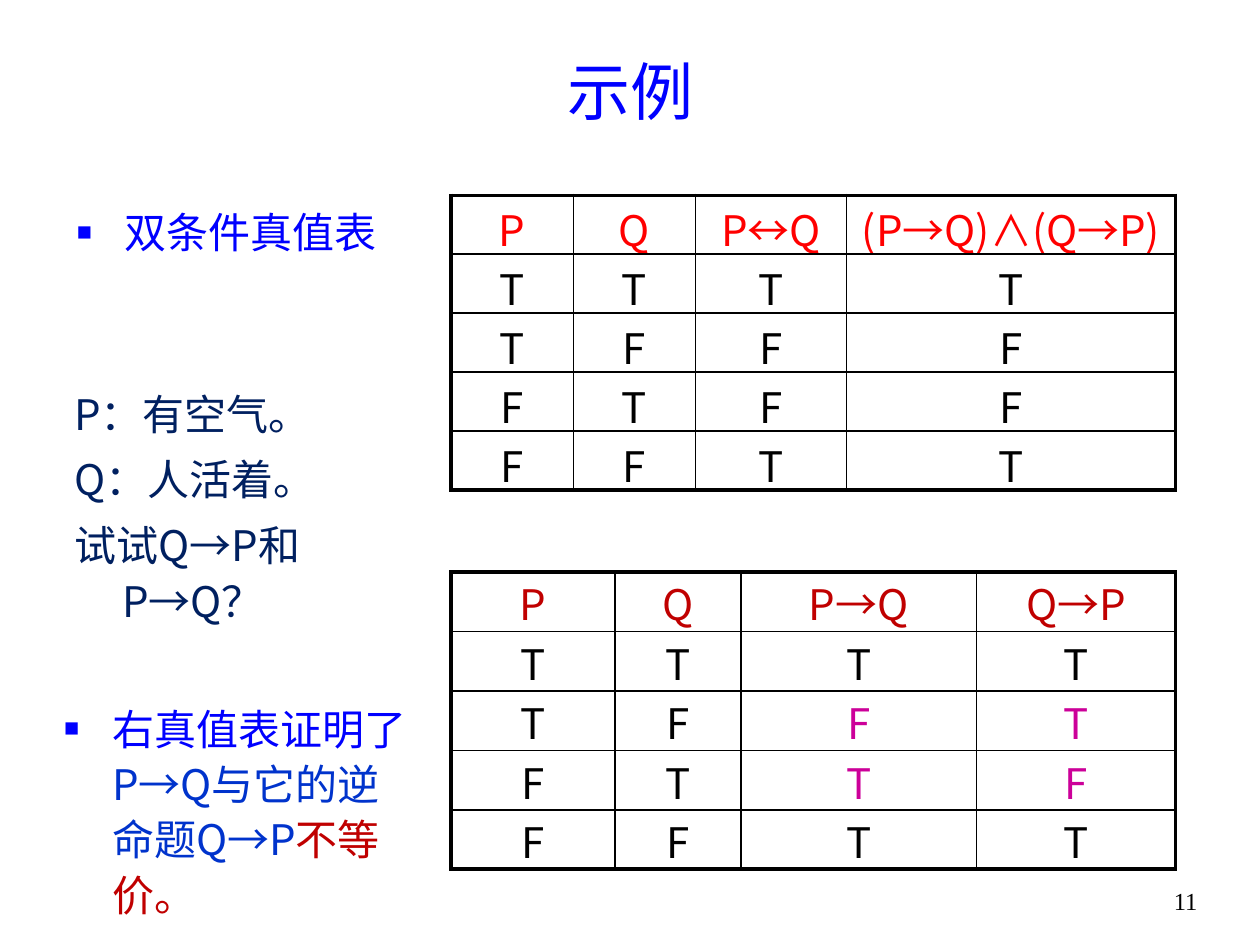
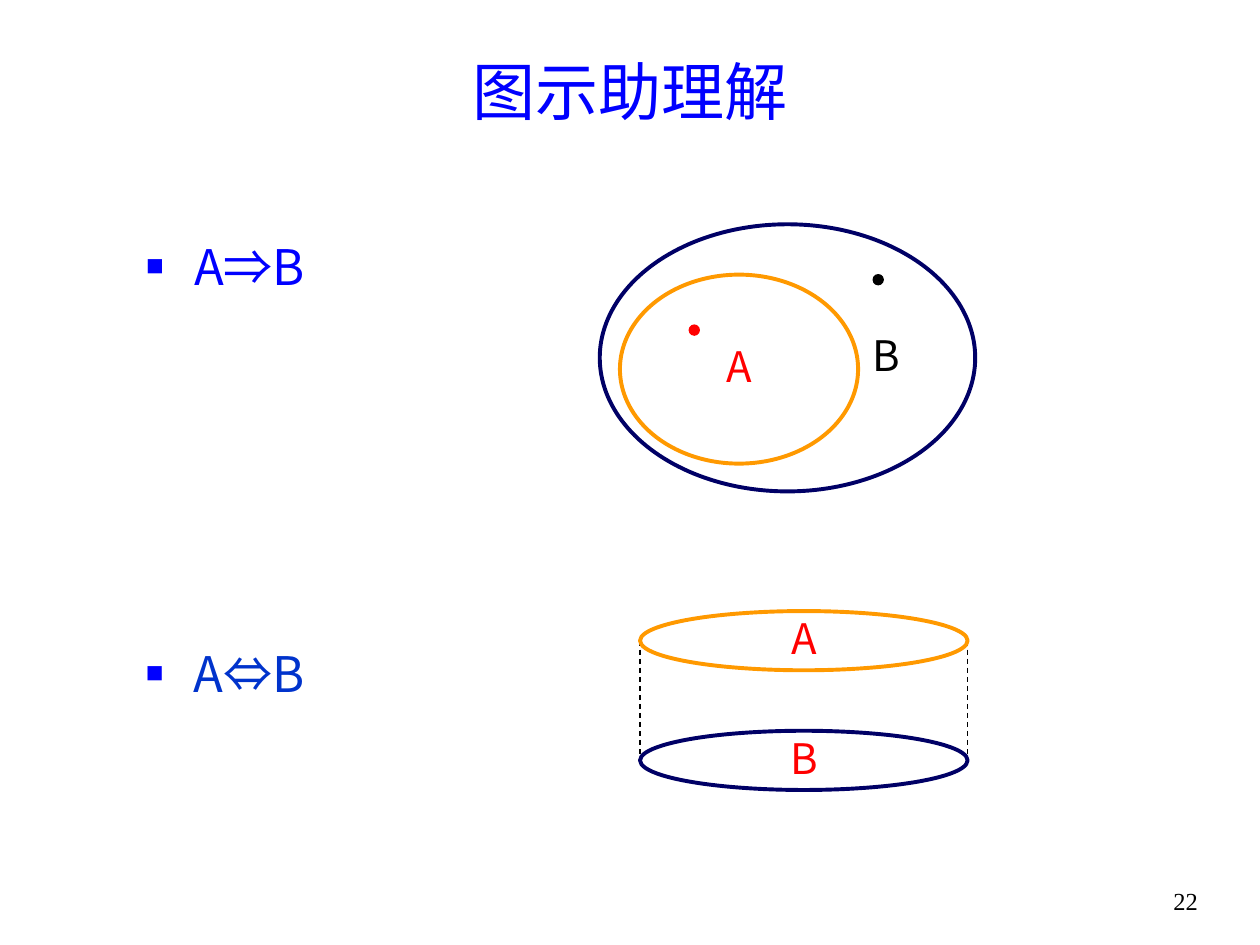
import dataclasses
import pptx
import pptx.util
import pptx.dml.color
import pptx.enum.dml
import pptx.enum.shapes
import pptx.enum.text
import pptx.oxml.ns
import lxml.etree

Inches = pptx.util.Inches
Pt = pptx.util.Pt
ALIGN = pptx.enum.text.PP_ALIGN
ANCHOR = pptx.enum.text.MSO_ANCHOR
qn = pptx.oxml.ns.qn


@dataclasses.dataclass(frozen=True)
class Theme:
    font: str = "Noto Sans CJK SC"
    serif: str = "Times New Roman"
    blue: str = "0000FF"
    royal: str = "0033CC"
    ink: str = "002060"
    navy: str = "000066"
    orange: str = "FF9900"
    red: str = "FF0000"
    brick: str = "C00000"
    pink: str = "CC0099"
    black: str = "000000"
    title: int = 36
    large: int = 28
    text: int = 24
    number: int = 14
    thin: float = 1
    thick: float = 2.25
    dash: float = 0.75
    indent: float = 0.38


THEME = Theme()


def color(code):
    return pptx.dml.color.RGBColor.from_string(code)


def child(parent, tag, **attrs):
    return lxml.etree.SubElement(parent, qn(tag), attrs)


def style(run, size, code, font=THEME.font):
    run.font.size = Pt(size)
    run.font.name = font
    run.font.color.rgb = color(code)
    for tag in ("a:ea", "a:sym"):
        child(run.font._element, tag, typeface=font)


def write(frame, text, size, code, align=ALIGN.CENTER, font=THEME.font):
    frame.text = text
    frame.paragraphs[0].alignment = align
    style(frame.paragraphs[0].runs[0], size, code, font)


def inset(frame, left, top, right=None):
    frame.margin_left = Inches(left)
    frame.margin_right = Inches(left if right is None else right)
    frame.margin_top = frame.margin_bottom = Inches(top)


def place(shape, box):
    shape.left, shape.top, shape.width, shape.height = map(Inches, box)


def hang(para, before):
    para.line_spacing = 1.1
    para.space_before = Pt(before)
    para.space_after = Pt(6)
    props = para._p.get_or_add_pPr()
    props.set("marL", str(Inches(THEME.indent)))
    props.set("indent", str(-Inches(THEME.indent)))
    return props


def bullet(frame, parts, size):
    frame.word_wrap = True
    frame.auto_size = pptx.enum.text.MSO_AUTO_SIZE.NONE
    para = frame.paragraphs[0]
    for text, code in parts:
        run = para.add_run()
        run.text = text
        style(run, size, code)
    props = hang(para, size * 0.2)
    child(child(props, "a:buClr"), "a:srgbClr", val=THEME.blue)
    child(props, "a:buSzPct", val="60000")
    child(props, "a:buFont", typeface=THEME.serif)
    child(props, "a:buChar", char="■")


def add_text(slide, box):
    frame = slide.shapes.add_textbox(*map(Inches, box)).text_frame
    frame.word_wrap = True
    return frame


def start(deck, title, number, box, parts, size):
    slide = deck.slides.add_slide(deck.slide_layouts[1])
    head, body = slide.placeholders
    place(head, (0.75, 0.36, 8.5, 0.71))
    head.text_frame.vertical_anchor = ANCHOR.MIDDLE
    write(head.text_frame, title, THEME.title, THEME.blue)
    place(body, box)
    bullet(body.text_frame, parts, size)
    frame = add_text(slide, (8.94, 6.98, 0.94, 0.35))
    write(frame, number, THEME.number, THEME.black, font=THEME.serif)
    return slide


def border(cell, edges):
    props = cell._tc.get_or_add_tcPr()
    for side, outer in edges:
        width = THEME.thick if outer else THEME.thin
        line = child(props, "a:ln" + side, w=str(Pt(width)))
        child(child(line, "a:solidFill"), "a:srgbClr", val=THEME.black)


def truth(slide, box, heads, rows, widths, code, pads, marks=()):
    grid = [heads, *rows]
    left, top, width, height = box
    shape = slide.shapes.add_table(len(grid), len(heads), *map(Inches, box))
    table = shape.table
    table.first_row = table.horz_banding = False
    for col, size in zip(table.columns, widths):
        col.width = Inches(size)
    for r, row in enumerate(grid):
        table.rows[r].height = Inches(height / len(grid))
        for c, text in enumerate(row):
            cell = table.cell(r, c)
            inset(cell, *pads)
            cell.vertical_anchor = ANCHOR.MIDDLE
            tone = code if r == 0 else THEME.pink if (r, c) in marks else THEME.black
            write(cell.text_frame, text, THEME.text, tone)
            border(cell, (("L", c == 0), ("R", c == len(heads) - 1),
                          ("T", r == 0), ("B", r == len(grid) - 1)))
            cell.fill.background()


def prompt(slide, box, lines):
    frame = add_text(slide, box)
    inset(frame, 0.08, 0)
    frame.text = "\n".join(lines)
    for para in frame.paragraphs:
        hang(para, 0)
        style(para.runs[0], THEME.text, THEME.ink)


def oval(slide, box, code, width=THEME.thick):
    shape = slide.shapes.add_shape(
        pptx.enum.shapes.MSO_SHAPE.OVAL, *map(Inches, box))
    shape.shadow.inherit = False
    shape.fill.background()
    shape.line.color.rgb = color(code)
    shape.line.width = Pt(width)
    return shape


def region(slide, box, edge, label, code, align=ALIGN.CENTER, gap=0):
    frame = oval(slide, box, edge).text_frame
    inset(frame, 0, 0, gap)
    frame.vertical_anchor = ANCHOR.MIDDLE
    write(frame, label, THEME.text, code, align)
    frame.paragraphs[0].line_spacing = 0.9


def dot(slide, left, top, code):
    shape = oval(slide, (left, top, 0.08, 0.08), code, THEME.dash)
    shape.fill.solid()
    shape.fill.fore_color.rgb = color(code)


def subset(slide, box):
    left, top, width, height = box
    region(slide, (left + 0.16, top + 0.4, 1.89, 1.5), THEME.orange, "A", THEME.red)
    region(slide, box, THEME.navy, "B", THEME.black, ALIGN.RIGHT, 0.16)
    dot(slide, left + 0.71, top + 0.8, THEME.red)
    dot(slide, left + 2.17, top + 0.4, THEME.black)


def match(slide, box):
    left, top, width, height = box
    deep = 0.47
    drop = height - deep
    for x in (left, left + width):
        y = top + deep / 2
        line = slide.shapes.add_connector(
            pptx.enum.shapes.MSO_CONNECTOR.STRAIGHT,
            *map(Inches, (x, y, x, y + drop)))
        line.line.color.rgb = color(THEME.black)
        line.line.width = Pt(THEME.dash)
        line.line.dash_style = pptx.enum.dml.MSO_LINE.DASH
        child(line._element.spPr, "a:effectLst")
    region(slide, (left, top, width, deep), THEME.orange, "A", THEME.red)
    region(slide, (left, top + drop, width, deep), THEME.navy, "B", THEME.red)


def example(deck):
    slide = start(deck, "示例", "11", (0.51, 1.55, 2.83, 0.55),
                  [("双条件真值表", THEME.blue)], THEME.text)
    truth(slide, (3.58, 1.55, 5.75, 2.34),
          ["P", "Q", "P↔Q", "(P→Q)∧(Q→P)"], ["TTTT", "TFFF", "FTFF", "FFTT"],
          [0.97, 0.97, 1.2, 2.61], THEME.red, (0, 0.02))
    truth(slide, (3.58, 4.54, 5.75, 2.36),
          ["P", "Q", "P→Q", "Q→P"], ["TTTT", "TFFT", "FTTF", "FFTT"],
          [1.3, 1, 1.87, 1.58], THEME.brick, (0.1, 0),
          {(2, 2), (2, 3), (3, 2), (3, 3)})
    frame = add_text(slide, (0.51, 5.54, 2.83, 1.42))
    inset(frame, 0, 0)
    bullet(frame, [("右真值表证明了", THEME.blue),
                   ("P→Q与它的逆命题Q→P", THEME.royal),
                   ("不等价。", THEME.brick)], THEME.text)
    prompt(slide, (0.51, 3.04, 2.91, 1.57),
           ["P：有空气。", "Q：人活着。", "试试Q→P和P→Q？"])


def diagram(deck):
    slide = start(deck, "图示助理解", "22", (1.06, 1.78, 1.97, 0.63),
                  [("A⇒B", THEME.blue)], THEME.large)
    bullet(add_text(slide, (1.06, 5.01, 1.97, 0.63)),
           [("A⇔B", THEME.royal)], THEME.large)
    subset(slide, (4.76, 1.78, 2.98, 2.12))
    match(slide, (5.08, 4.85, 2.6, 1.42))


def main():
    deck = pptx.Presentation()
    deck.slide_width = Inches(10)
    deck.slide_height = Inches(7.5)
    example(deck)
    diagram(deck)
    deck.save("out.pptx")


if __name__ == "__main__":
    main()
